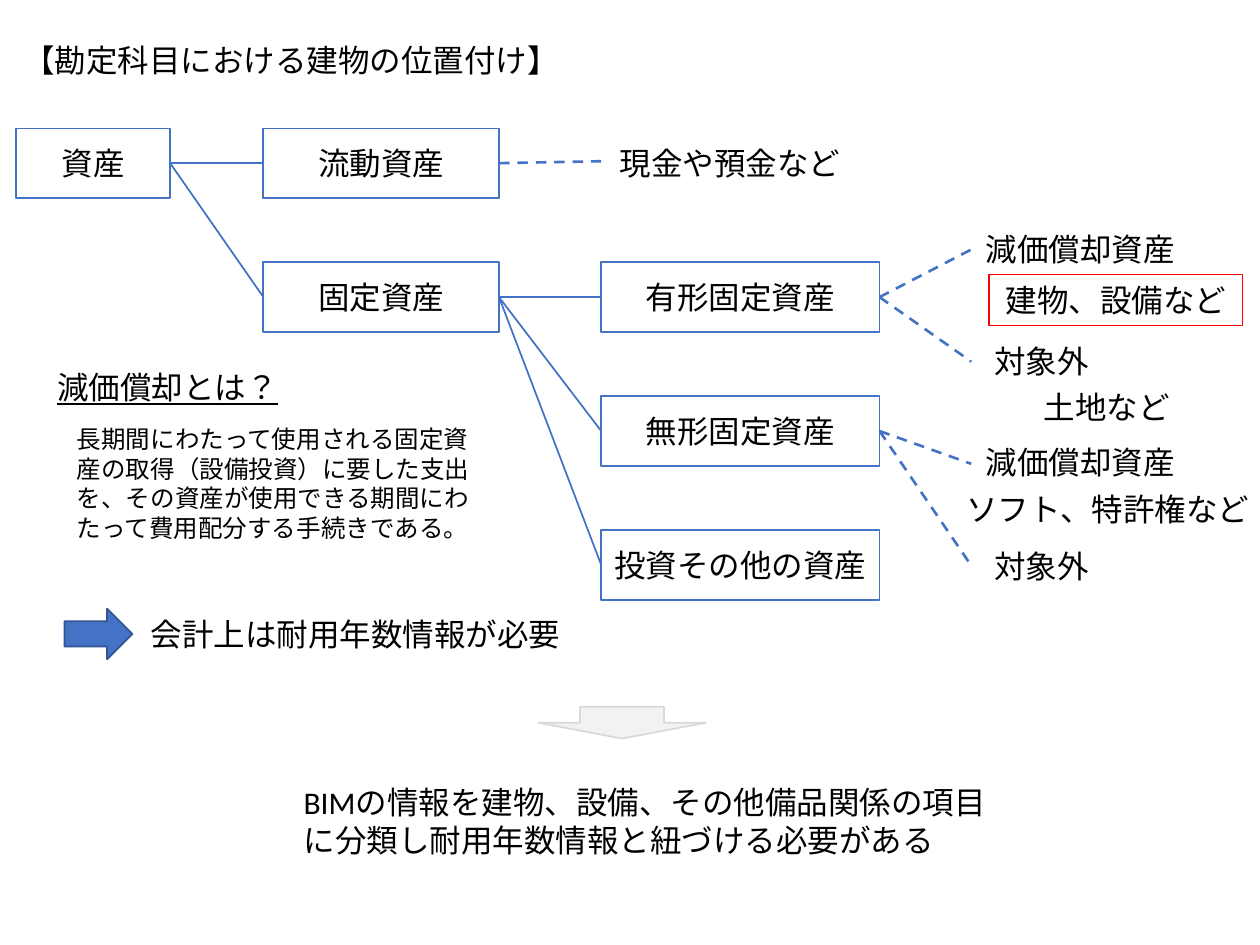
from dataclasses import dataclass

import lxml.etree
import pptx
import pptx.dml.color
import pptx.enum.dml
import pptx.enum.lang
import pptx.enum.shapes
import pptx.enum.text
import pptx.oxml.ns
import pptx.util

Cm = pptx.util.Cm
Pt = pptx.util.Pt
KIND = pptx.enum.shapes.MSO_SHAPE
ALIGN = pptx.enum.text.PP_ALIGN
ANCHOR = pptx.enum.text.MSO_ANCHOR
FIT = pptx.enum.text.MSO_AUTO_SIZE
BLUE = "4472C4"
TOP, PITCH, TALL = 2.59, 2.7, 1.4
LINE = 1.02
COLS = ((0.33, 3.1), (5.31, 4.75), (12.12, 5.61))
LEAF = 19.58


@dataclass
class Node:
    """A boxed account at a column and row, linked to its parent."""
    name: str
    col: int
    row: int
    parent: str = ""


@dataclass
class Label:
    """A free text with its place and format."""
    text: str
    left: float
    top: float
    width: float
    height: float = LINE
    size: int = 18
    center: bool = False
    under: bool = False


@dataclass
class Branch:
    """A dashed line from a node to a point."""
    name: str
    x: float
    y: float


NODES = [
    Node("資産", 0, 0),
    Node("流動資産", 1, 0, "資産"),
    Node("固定資産", 1, 1, "資産"),
    Node("有形固定資産", 2, 1, "固定資産"),
    Node("無形固定資産", 2, 2, "固定資産"),
    Node("投資その他の資産", 2, 3, "固定資産"),
]
BRANCHES = [
    Branch("流動資産", 12.12, 3.25),
    Branch("有形固定資産", LEAF, 5.03),
    Branch("有形固定資産", LEAF, 7.29),
    Branch("無形固定資産", LEAF, 9.35),
    Branch("無形固定資産", LEAF, 11.4),
]
LABELS = [
    Label("現金や預金など", 12.24, 2.77, 5.56),
    Label("減価償却資産", LEAF, 4.52, 4.39, center=True),
    Label("対象外", LEAF, 6.78, 2.84, center=True),
    Label("土地など", 20.65, 7.7, 3.33, center=True),
    Label("減価償却資産", LEAF, 8.81, 4.39, center=True),
    Label("ソフト、特許権など", 19.23, 9.75, 6.53),
    Label("対象外", LEAF, 10.9, 2.84, center=True),
    Label("減価償却とは？", 0.56, 7.29, 5.64, center=True, under=True),
    Label("長期間にわたって使用される固定資産の取得（設備投資）に要した支出を、"
          "その資産が使用できる期間にわたって費用配分する手続きである。",
          1.3, 8.43, 8.76, 2.64, size=14),
    Label("会計上は耐用年数情報が必要", 2.79, 12.27, 9.04),
    Label("BIMの情報を建物、設備、その他備品関係の項目に分類し"
          "耐用年数情報と紐づける必要がある", 5.87, 15.67, 14.48, 1.8),
]


def color(code: str) -> pptx.dml.color.RGBColor:
    """Turn a hex string into a colour."""
    return pptx.dml.color.RGBColor.from_string(code)


def write(shape, text: str, *, size: int = 18, center: bool = True,
          under: bool = False, wrap: bool = True, anchor=ANCHOR.TOP,
          fit=FIT.NONE) -> None:
    """Put formatted text in a shape."""
    frame = shape.text_frame
    frame.word_wrap = wrap
    frame.auto_size = fit
    frame.vertical_anchor = anchor
    para = frame.paragraphs[0]
    para.alignment = ALIGN.CENTER if center else ALIGN.LEFT
    run = para.add_run()
    run.text = text
    font = run.font
    font.name, font.size = "Calibri", Pt(size)
    font.underline = under
    font.color.rgb = color("000000")
    font.language_id = pptx.enum.lang.MSO_LANGUAGE_ID.JAPANESE


def draw(slide, kind, left: float, top: float, width: float, height: float,
         line: str, fill: str = "", weight: float = 1):
    """Add a preset shape with a plain outline."""
    shape = slide.shapes.add_shape(kind, Cm(left), Cm(top), Cm(width), Cm(height))
    shape.shadow.inherit = False
    if fill:
        shape.fill.solid()
        shape.fill.fore_color.rgb = color(fill)
    else:
        shape.fill.background()
    shape.line.color.rgb = color(line)
    shape.line.width = Pt(weight)
    return shape


def link(slide, start, x: float = 0, y: float = 0, end=None) -> None:
    """Join a box to another box, or by dashes to a point."""
    line = slide.shapes.add_connector(
        pptx.enum.shapes.MSO_CONNECTOR.STRAIGHT, 0, 0, Cm(x), Cm(y))
    line.begin_connect(start, 3)
    if end is not None:
        line.end_connect(end, 1)
    else:
        line.line.dash_style = pptx.enum.dml.MSO_LINE.DASH
    line.line.color.rgb = color(BLUE)
    line.line.width = Pt(1 if end is not None else 1.5)
    props = line._element.spPr
    lxml.etree.SubElement(props, pptx.oxml.ns.qn("a:effectLst"))


def build() -> None:
    """Build the slide and save it."""
    deck = pptx.Presentation()
    deck.slide_width, deck.slide_height = Cm(25.4), Cm(19.05)
    slide = deck.slides.add_slide(deck.slide_layouts[5])

    title = slide.shapes.title
    title.left, title.top = Cm(0.13), Cm(0.69)
    title.width, title.height = Cm(11.48), Cm(LINE)
    write(title, "【勘定科目における建物の位置付け】")

    boxes = {}
    for node in NODES:
        left, width = COLS[node.col]
        box = draw(slide, KIND.RECTANGLE, left, TOP + PITCH * node.row,
                   width, TALL, BLUE)
        write(box, node.name, wrap=False, anchor=ANCHOR.MIDDLE)
        boxes[node.name] = box
        if node.parent:
            link(slide, boxes[node.parent], end=box)
    for branch in BRANCHES:
        link(slide, boxes[branch.name], branch.x, branch.y)

    for label in LABELS:
        box = slide.shapes.add_textbox(Cm(label.left), Cm(label.top),
                                       Cm(label.width), Cm(label.height))
        write(box, label.text, size=label.size, center=label.center,
              under=label.under, fit=FIT.SHAPE_TO_FIT_TEXT)

    focus = draw(slide, KIND.RECTANGLE, 19.94, 5.54, 5.11, LINE, "FF0000",
                 weight=0.75)
    write(focus, "建物、設備など")
    draw(slide, KIND.RIGHT_ARROW, 1.3, 12.27, 1.37, LINE, "325491", BLUE)
    draw(slide, KIND.DOWN_ARROW, 10.85, 14.25, 3.38, 0.64, "D9D9D9", "F2F2F2")
    deck.save("out.pptx")


build()
